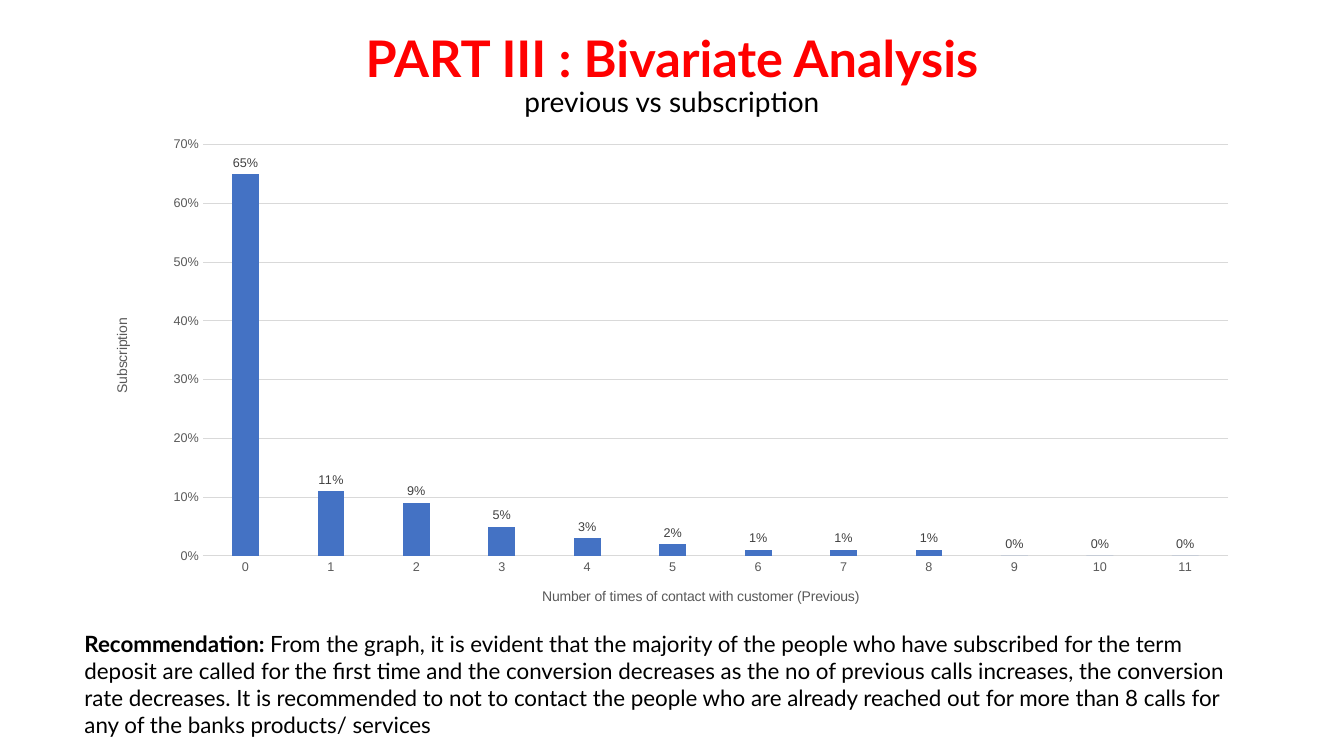
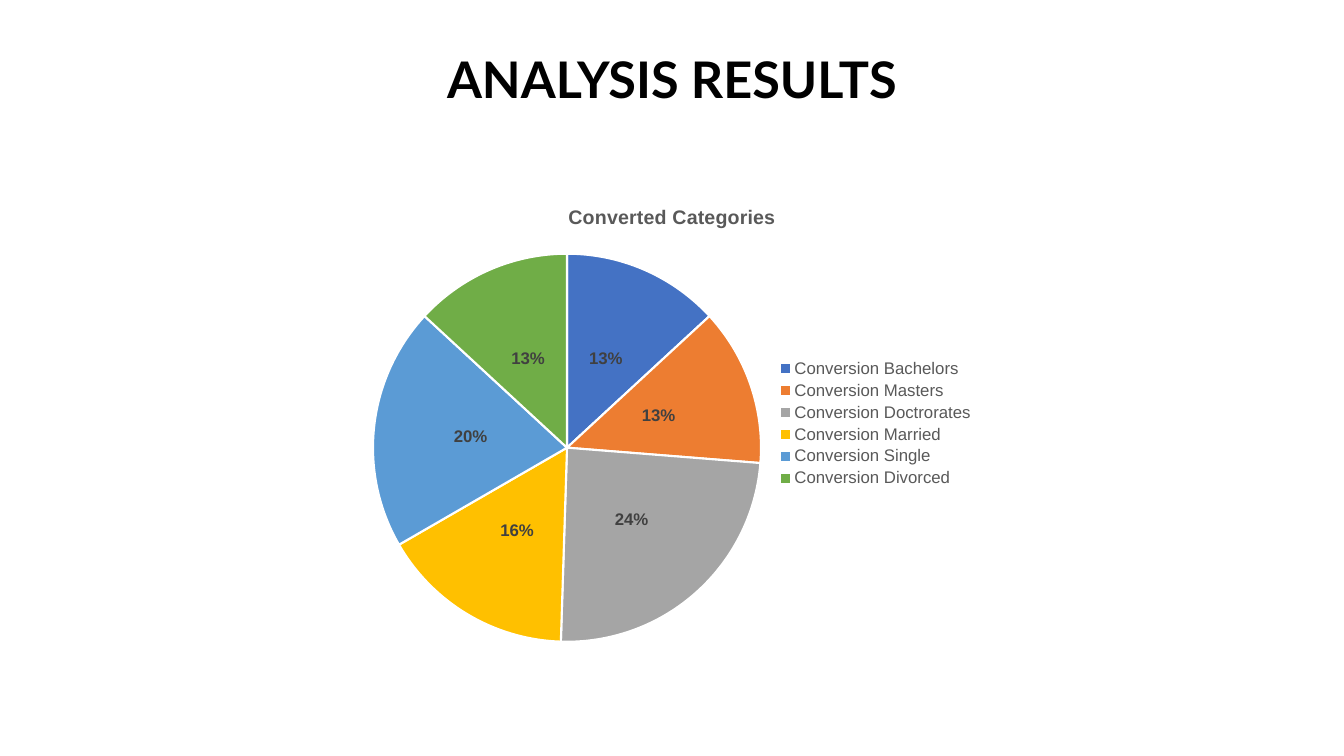
from pptx import Presentation
from pptx import util as u
from pptx.chart.data import CategoryChartData
from pptx.dml.color import RGBColor
from pptx.enum import chart as ch, text as tx
from pptx.oxml import parse_xml
from pptx.oxml.ns import nsdecls, qn

BLACK, RED, WHITE = "000000", "FF0000", "FFFFFF"
GREY, DARK, PALE = "595959", "404040", "D9D9D9"
HUES = ["4472C4", "ED7D31", "A5A5A5", "FFC000", "5B9BD5", "70AD47"]
LEFT, WIDE, TALL = 2.33, 29.21, 12.57

HEAD = dict(name="Lato", size=36, bold=True, color=BLACK)
SUB = dict(HEAD, size=20, bold=False)
BODY = dict(HEAD, size=16, bold=False)
LEAD = dict(BODY, bold=True)
AXIS = dict(name="Arial", size=9, bold=False, color=GREY)

ADVICE = ("From the graph, it is evident that the majority of the people who have "
          "subscribed for the term deposit are called for the first time and the "
          "conversion decreases as the no of previous calls increases, the conversion "
          "rate decreases. It is recommended to not to contact the people who are "
          "already reached out for more than 8 calls for any of the banks products/ "
          "services")
CALLS = [0.65, 0.11, 0.09, 0.05, 0.03, 0.02, 0.01, 0.01, 0.01, 0, 0, 0]
GROUPS = {"Bachelors": 13, "Masters": 13, "Doctrorates": 24,
          "Married": 16, "Single": 20, "Divorced": 13}


def rgb(code):
    return RGBColor.from_string(code)


def style(font, look):
    for key, val in look.items():
        if key == "color":
            font.color.rgb = rgb(val)
        else:
            setattr(font, key, u.Pt(val) if key == "size" else val)


def paint(part, code):
    part.format.fill.solid()
    part.format.fill.fore_color.rgb = rgb(code)


def rule(line, code, width):
    line.color.rgb = rgb(code)
    line.width = u.Pt(width)


def write(slide, box, lines, **form):
    """Add a text box; each line is a list of (words, look) runs."""
    frame = slide.shapes.add_textbox(*map(u.Cm, box)).text_frame
    frame.word_wrap = True
    frame.vertical_anchor = form.pop("anchor", tx.MSO_ANCHOR.TOP)
    for i, runs in enumerate(lines):
        para = frame.paragraphs[0] if i == 0 else frame.add_paragraph()
        for key, val in form.items():
            setattr(para, key, val)
        for words, look in runs:
            run = para.add_run()
            run.text = words
            style(run.font, look)


def title(slide, top, *lines):
    write(slide, (LEFT, top, WIDE, 2.5), [[line] for line in lines],
          anchor=tx.MSO_ANCHOR.MIDDLE, alignment=tx.PP_ALIGN.CENTER,
          line_spacing=0.9)


def place(node, index, **spots):
    """Fix a part of the bar chart at lengths in cm from the chart's corner."""
    for old in node.findall(qn("c:layout")):
        node.remove(old)
    inner = '<c:layoutTarget val="inner"/>' if "w" in spots else ""
    modes = "".join(f'<c:{k}Mode val="edge"/>' for k in "xy")
    vals = "".join(f'<c:{k} val="{v / (WIDE if k in "xw" else TALL):.4f}"/>'
                   for k, v in spots.items())
    node.insert(index, parse_xml(
        f'<c:layout {nsdecls("c")}><c:manualLayout>{inner}{modes}{vals}'
        '</c:manualLayout></c:layout>'))


def caption(head, words, look):
    run = head.text_frame.paragraphs[0].add_run()
    run.text = words
    style(run.font, look)


def graph(slide, kind, box, cats, vals, look, spot):
    """Add a chart of one series with styled percent labels."""
    data = CategoryChartData(number_format="General")
    data.categories = cats
    data.add_series("Series 1", vals)
    chart = slide.shapes.add_chart(kind, *map(u.Cm, box), data).chart
    style(chart.font, dict(AXIS, size=10, color=BLACK))
    chart.has_title = chart.has_legend = False
    plot = chart.plots[0]
    plot.has_data_labels = True
    tags = plot.data_labels
    tags.number_format, tags.number_format_is_linked = "0%", False
    tags.position = spot
    style(tags.font, look)
    return chart, plot


def scale(axis, words, x, y):
    axis.major_tick_mark = axis.minor_tick_mark = ch.XL_TICK_MARK.NONE
    style(axis.tick_labels.font, AXIS)
    caption(axis.axis_title, words, dict(AXIS, size=10))
    place(axis.axis_title._element, 1, x=x, y=y)


def bars(slide):
    chart, plot = graph(slide, ch.XL_CHART_TYPE.COLUMN_CLUSTERED,
                        (LEFT, 3.2, WIDE, TALL), [str(i) for i in range(12)],
                        CALLS, dict(AXIS, color=DARK),
                        ch.XL_LABEL_POSITION.OUTSIDE_END)
    plot.gap_width, plot.overlap, plot.vary_by_categories = 219, -27, False
    paint(plot.series[0], HUES[0])
    base, side = chart.category_axis, chart.value_axis
    scale(base, "Number of times of contact with customer (Previous)", 11.27, 11.53)
    scale(side, "Subscription", 0.45, 4.75)
    rule(base.format.line, PALE, 0.75)
    side.format.line.fill.background()
    rule(side.major_gridlines.format.line, PALE, 0.75)
    side.minimum_scale, side.maximum_scale, side.major_unit = 0, 0.7, 0.1
    side.tick_labels.number_format = "0%"
    side.tick_labels.number_format_is_linked = False
    area = chart._chartSpace.find(".//" + qn("c:plotArea"))
    place(area, 0, x=2.78, y=0.45, w=25.84, h=10.36)


def pie(slide):
    chart, plot = graph(slide, ch.XL_CHART_TYPE.PIE, (9.05, 4.69, 15.77, 11.96),
                        ["Conversion " + name for name in GROUPS],
                        GROUPS.values(),
                        dict(AXIS, size=12, bold=True, color=DARK),
                        ch.XL_LABEL_POSITION.CENTER)
    plot.data_labels.show_percentage = True
    plot.data_labels.show_value = False
    for i, hue in enumerate(HUES):
        point = plot.series[0].points[i]
        paint(point, hue)
        rule(point.format.line, WHITE, 1.5)
    caption(chart.chart_title, "Converted Categories",
            dict(AXIS, size=14, bold=True))
    chart.has_legend = True
    chart.legend.position = ch.XL_LEGEND_POSITION.RIGHT
    chart.legend.include_in_layout = False
    style(chart.legend.font, dict(AXIS, size=12))


def main():
    deck = Presentation()
    deck.slide_width, deck.slide_height = u.Cm(33.87), u.Cm(19.05)
    first, last = (deck.slides.add_slide(deck.slide_layouts[6]) for _ in range(2))

    title(first, 0.67, ("PART III : Bivariate Analysis", dict(HEAD, color=RED)),
          ("previous vs subscription", SUB))
    write(first, (1.88, 15.76, 29.67, 3),
          [[("Recommendation: ", LEAD), (ADVICE, BODY)]])
    bars(first)

    title(last, 0.83, ("ANALYSIS RESULTS", HEAD))
    pie(last)
    deck.save("out.pptx")


if __name__ == "__main__":
    main()
